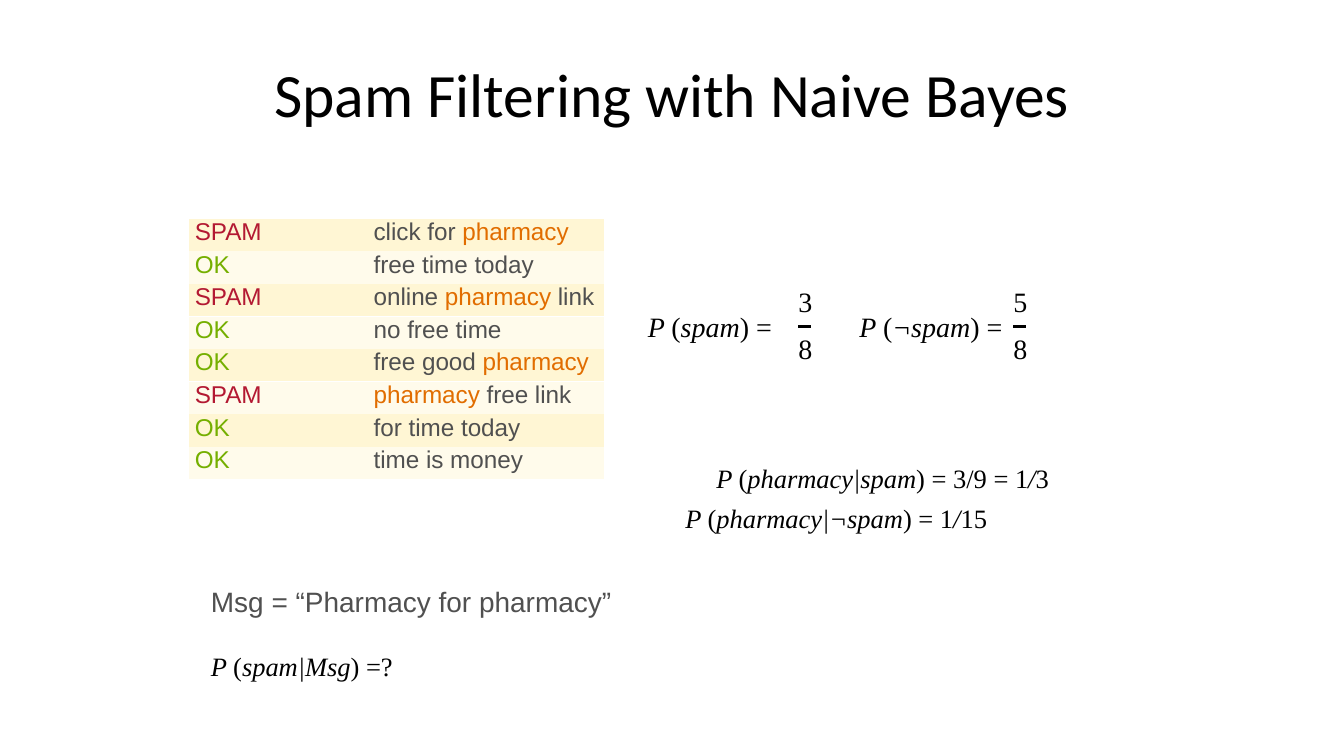
import pptx
import pptx.dml.color
import pptx.enum.shapes
import pptx.enum.text
import pptx.oxml.ns
import pptx.util
from lxml import etree

# Grid: 100 columns by 56.25 rows, square cells
COLS, ROWS = 100, 56.25
CELL = 0.1
EDGE = 0.82

# In marked text, every second piece between asterisks takes the marked format
TITLE = {"name": "Calibri", "size": 33, "color": "000000"}
MATH = {"name": "Times New Roman", "size": 15, "color": "000000"}
SMALL_MATH = {**MATH, "size": 14.2}
MESSAGE = {"name": "Arial", "size": 15, "color": "505050"}
WORDS = {**MESSAGE, "size": 13}
ITALIC = {"italic": True}
KEYWORD = {"color": "E16D00"}
CLASS_COLORS = {"SPAM": "B31932", "OK": "75AF00"}
BANDS = ["FFF6D4", "FFFBEB"]

MAILS = [
    ("SPAM", "click for *pharmacy"),
    ("OK", "free time today"),
    ("SPAM", "online *pharmacy *link"),
    ("OK", "no free time"),
    ("OK", "free good *pharmacy"),
    ("SPAM", "*pharmacy *free link"),
    ("OK", "for time today"),
    ("OK", "time is money"),
]
RULED_ROWS = (2, 4, 7)

# Marked text, format, left margin, first-line indent, space before
DERIVATION = [
    ("*P *(*pharmacy|spam*) = 3/9 = 1*/*3", SMALL_MATH, 37.7, 0, 0),
    ("*P *(*pharmacy|¬spam*) = 1*/*15", SMALL_MATH, 0.1, 35.3, 4.4),
    ("Msg = “Pharmacy for pharmacy”", MESSAGE, 0.1, 0, 27),
    ("*P *(*spam|Msg*) =?", SMALL_MATH, 0.1, 0, 17),
]

# Marked text, its column and width, then numerator, denominator and column
PRIORS = [
    ("*P *(*spam*) =", 48.1, 16.2, "3", "8", 59.4),
    ("*P *(*¬spam*) =", 63.85, 19.9, "5", "8", 75.4),
]


def grid(n):
    return pptx.util.Inches(n * CELL)


def rgb(code):
    return pptx.dml.color.RGBColor.from_string(code)


def clear_margins(frame):
    for side in ("left", "right", "top", "bottom"):
        setattr(frame, "margin_" + side, 0)


def add_runs(p, text, fmt, marked=ITALIC):
    for i, piece in enumerate(text.split("*")):
        if not piece:
            continue
        r = p.add_run()
        r.text = piece
        values = {**fmt, **(marked if i % 2 else {})}
        r.font.color.rgb = rgb(values.pop("color"))
        values["size"] = pptx.util.Pt(values["size"])
        for key, value in values.items():
            setattr(r.font, key, value)


def indent(p, left, first=0):
    pPr = p._p.get_or_add_pPr()
    for key, n in {"marL": left, "indent": first}.items():
        pPr.set(key, str(int(grid(n))))


def add_text(s, x, y, w, h, lines):
    tf = s.shapes.add_textbox(grid(x), grid(y), grid(w), grid(h)).text_frame
    clear_margins(tf)
    tf.word_wrap = True
    for i, (text, fmt, left, first, before) in enumerate(lines):
        p = tf.add_paragraph() if i else tf.paragraphs[0]
        indent(p, left, first)
        if before:
            p.space_before = pptx.util.Pt(before)
        add_runs(p, text, fmt)
    return tf


def add_formula(s, text, x, y, w, left=0.1):
    add_text(s, x, y, w, 2.5, [(text, MATH, left, 0, 0)])


def add_fraction(s, top, bottom, x):
    for text, y in ((top, 21.2), (bottom, 24.7)):
        add_formula(s, text, x, y, 1, 0)
    bar = s.shapes.add_connector(
        pptx.enum.shapes.MSO_CONNECTOR.STRAIGHT,
        grid(x), grid(24.3), grid(x + 0.95), grid(24.3))
    bar.line.color.rgb = rgb("000000")
    bar.line.width = pptx.util.Pt(1.59)
    etree.SubElement(bar._element.spPr, pptx.oxml.ns.qn("a:effectLst"))


def add_border(cell, side):
    qn = pptx.oxml.ns.qn
    ln = etree.SubElement(cell._tc.get_or_add_tcPr(), qn("a:ln" + side),
                          w=str(int(pptx.util.Pt(EDGE))))
    fill = etree.SubElement(ln, qn("a:solidFill"))
    etree.SubElement(fill, qn("a:srgbClr"), val="FFFFFF")


def fill_cell(cell, text, fmt, left, band, sides):
    clear_margins(cell)
    for side in sides:
        add_border(cell, side)
    cell.fill.solid()
    cell.fill.fore_color.rgb = rgb(band)
    p = cell.text_frame.paragraphs[0]
    indent(p, left)
    add_runs(p, text, fmt, KEYWORD)


def add_mail_table(s, x, y, widths, row_height):
    n = len(MAILS)
    table = s.shapes.add_table(n, len(widths), grid(x), grid(y),
                               grid(sum(widths)), grid(row_height * n)).table
    # Plain table style without lines
    style = table._tbl.tblPr.find(pptx.oxml.ns.qn("a:tableStyleId"))
    style.text = "{2D5ABB26-0587-4C30-8999-92F81FD0307C}"
    table.first_row = table.horz_banding = False
    for column, width in zip(table.columns, widths):
        column.width = grid(width)
    for i, (label, words) in enumerate(MAILS):
        table.rows[i].height = grid(row_height)
        band = BANDS[i % 2]
        sides = ("T" if i == 0 else "") + ("B" if i in RULED_ROWS else "")
        label_fmt = {**WORDS, "color": CLASS_COLORS[label]}
        fill_cell(table.cell(i, 0), label, label_fmt, 0.5, band, "L" + sides)
        fill_cell(table.cell(i, 1), words, WORDS, 6.8, band, "R" + sides)


def main():
    prs = pptx.Presentation()
    prs.slide_width, prs.slide_height = grid(COLS), grid(ROWS)
    s = prs.slides.add_slide(prs.slide_layouts[6])

    # Title
    tf = add_text(s, 16.2, 4.15, 67.5, 5.6,
                  [("Spam Filtering with Naive Bayes", TITLE, 0.1, 0, 0)])
    tf.vertical_anchor = pptx.enum.text.MSO_ANCHOR.MIDDLE
    tf.paragraphs[0].alignment = pptx.enum.text.PP_ALIGN.CENTER

    # Prior probabilities
    for text, x, w, top, bottom, bar_x in PRIORS:
        add_formula(s, text, x, 23, w)
        add_fraction(s, top, bottom, bar_x)

    # Word likelihoods and the query message
    add_text(s, 15.6, 34.4, 68.9, 16.3, DERIVATION)

    # Training mails
    add_mail_table(s, 14, 16.25, (7, 24), 2.43)

    prs.save("out.pptx")


if __name__ == "__main__":
    main()
